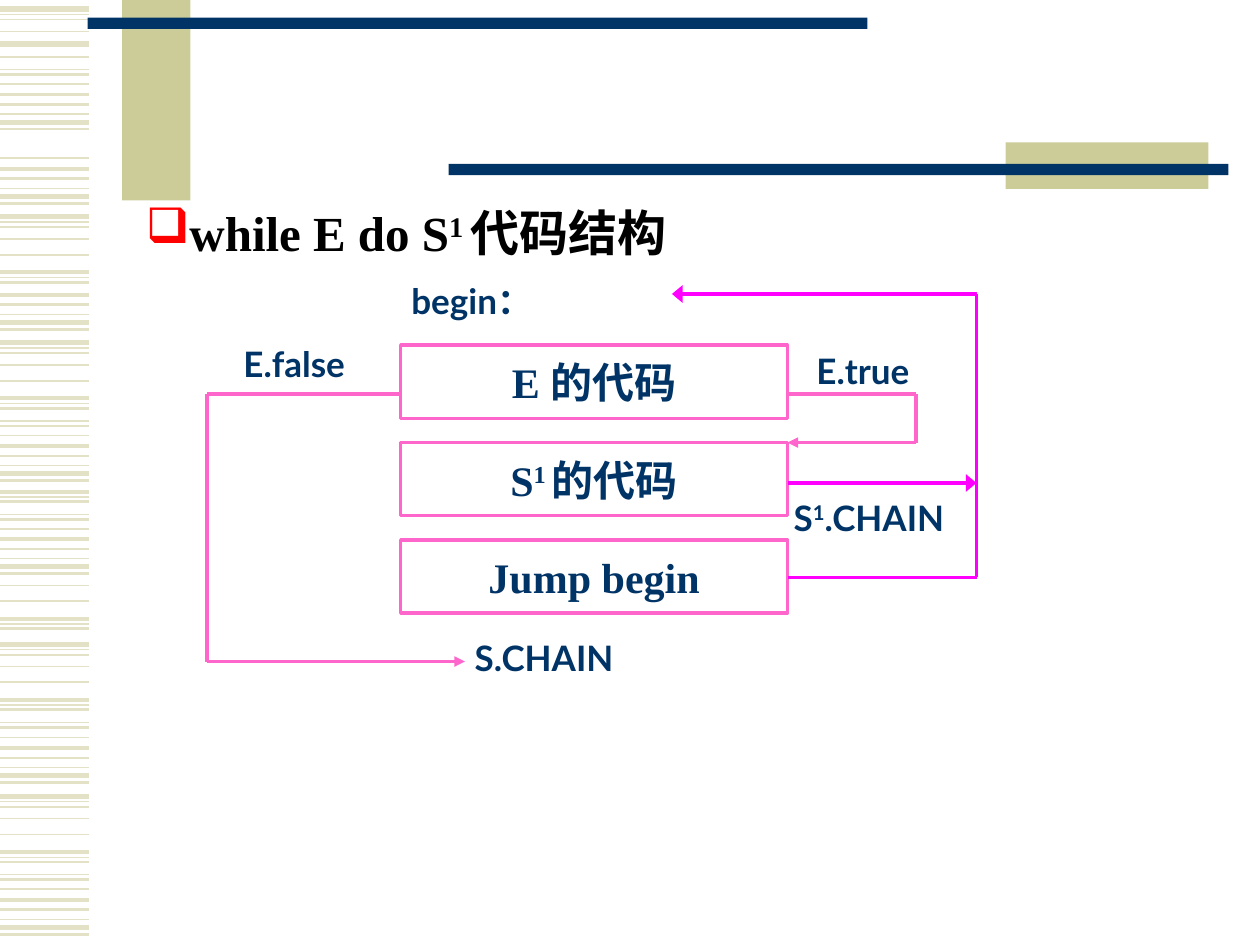
"""Build the slide on the code structure of a while loop."""
from lxml import etree
from pptx import Presentation
from pptx.dml.color import RGBColor
from pptx.enum.shapes import MSO_CONNECTOR, MSO_SHAPE
from pptx.enum.text import MSO_ANCHOR, PP_ALIGN
from pptx.oxml.ns import qn
from pptx.util import Pt

STRAIGHT = MSO_CONNECTOR.STRAIGHT
RECTANGLE = MSO_SHAPE.RECTANGLE
MIDDLE = MSO_ANCHOR.MIDDLE
LEFT, CENTER = PP_ALIGN.LEFT, PP_ALIGN.CENTER


class Theme:
    navy = RGBColor.from_string("003366")
    khaki = RGBColor.from_string("CCCC99")
    stripe = RGBColor.from_string("E3E2C7")
    pink = RGBColor.from_string("FF66CC")
    magenta = RGBColor.from_string("FF00FF")
    white = RGBColor.from_string("FFFFFF")
    black = RGBColor.from_string("000000")
    bullet = "FF0000"
    serif, sans = "Times New Roman", "Lato"
    heading, code, label = Pt(28), Pt(24), Pt(20)
    line = 2


def add_line(start, end, color, weight=Theme.line, head=None):
    line = page.shapes.add_connector(STRAIGHT, *map(Pt, start + end))
    line.line.color.rgb = color
    line.line.width = Pt(weight)
    etree.SubElement(line._element.spPr, qn("a:effectLst"))
    if head:
        etree.SubElement(line.line._get_or_add_ln(), qn("a:tailEnd"), type="triangle", w=head, len="med")


def write_text(box, text, size, font, color, align=LEFT, bullet=None):
    para = box.text_frame.paragraphs[0]
    if bullet:
        properties = para._p.get_or_add_pPr()
        properties.set("marL", "0")
        properties.set("indent", "0")
        tint = etree.SubElement(properties, qn("a:buClr"))
        etree.SubElement(tint, qn("a:srgbClr"), val=Theme.bullet)
        etree.SubElement(properties, qn("a:buChar"), char=bullet)
    para.alignment = align
    para.font.size = size
    para.font.name = font
    para.font.bold = True
    para.font.color.rgb = color
    for index, part in enumerate(text.split("^")):
        span = para.add_run()
        span.text = part
        if index % 2:
            span._r.get_or_add_rPr().set("baseline", "30000")


deck = Presentation()
deck.slide_width, deck.slide_height = Pt(720), Pt(540)
page = deck.slides.add_slide(deck.slide_layouts[6])

short_band = [(-21.8, 1), (-15.8, 2.25), (-10.2, 1.5), (-4.6, 0.75), (0, 3), (4, 1.5)]
long_band = [(0, 3), (3, 0.75), (6, 1), (12.8, 1), (21.8, 1), (31.8, 2.25),
             (34.8, 0.75), (37.5, 1.5), (44.7, 0.75), (47.6, 1.5)]
stripe_bands = [
    (529.9, short_band), (455, long_band), (443.3, short_band), (368.1, long_band),
    (321.8, long_band[3:8]), (323.9, short_band), (249.2, long_band[5:]),
    (270.7, short_band), (195.8, long_band), (184.2, short_band[1:]),
    (123.8, long_band[:8]), (112.2, short_band), (69.8, short_band),
    (-4.9, long_band[7:]), (5.2, long_band[:4]), (25.2, long_band[:1]),
]
for anchor, band in stripe_bands:
    for offset, weight in band:
        add_line((0, anchor + offset), (51.1, anchor + offset), Theme.stripe, weight)

bars = [
    (69.8, 0, 39, 114.5, Theme.khaki),
    (50, 10.1, 445.7, 6.5, Theme.navy),
    (574.6, 81.4, 116, 26.6, Theme.khaki),
    (256.3, 93.6, 445.7, 6.5, Theme.navy),
]
for left, top, width, height, color in bars:
    bar = page.shapes.add_shape(RECTANGLE, *map(Pt, (left, top, width, height)))
    bar.shadow.inherit = False
    bar.fill.solid()
    bar.fill.fore_color.rgb = color
    bar.line.fill.background()

heading = page.shapes.add_textbox(Pt(76.3), Pt(112.3), Pt(318.2), Pt(41))
heading.text_frame.word_wrap = False
write_text(heading, "while E do S^1 ^代码结构", Theme.heading, Theme.serif, Theme.black, bullet="❑")

box_left, box_right, box_top, box_step = 229, 450, 197.3, 55.6
for row, text in enumerate(["E 的代码", "S^1 ^的代码", "Jump begin"]):
    box = page.shapes.add_shape(
        RECTANGLE, Pt(box_left), Pt(box_top + row * box_step), Pt(box_right - box_left), Pt(41.8))
    box.shadow.inherit = False
    box.fill.solid()
    box.fill.fore_color.rgb = Theme.white
    box.line.color.rgb = Theme.pink
    box.line.width = Pt(Theme.line)
    box.text_frame.word_wrap = True
    box.text_frame.vertical_anchor = MIDDLE
    write_text(box, text, Theme.code, Theme.serif, Theme.navy, CENTER)

false_x, true_x, loop_x = 118.2, 523.4, 558
test_y, body_y, chain_y, jump_y, begin_y, exit_y = 225.2, 252.9, 276, 330, 168, 378
routes = [
    (Theme.pink, "med", [(box_left, test_y), (false_x, test_y), (false_x, exit_y), (265.7, exit_y)]),
    (Theme.pink, "med", [(box_right, test_y), (true_x, test_y), (true_x, body_y), (box_right, body_y)]),
    (Theme.magenta, "lg", [(box_right, chain_y), (loop_x, chain_y)]),
    (Theme.magenta, "lg", [(box_right, jump_y), (loop_x, jump_y), (loop_x, begin_y), (384, begin_y)]),
]
for color, head, points in routes:
    for start, end in zip(points, points[1:]):
        add_line(start, end, color, head=head if end == points[-1] else None)

labels = [
    ("E.true", 459.4, 196, 195),
    ("S.CHAIN", 264.2, 360, 194),
    ("E.false", 132, 192, 108),
    ("begin：", 228, 156, 96),
    ("S^1^.CHAIN", 446.4, 280, 110),
]
for text, left, top, width in labels:
    label = page.shapes.add_textbox(Pt(left), Pt(top), Pt(width), Pt(31.5))
    label.text_frame.word_wrap = True
    write_text(label, text, Theme.label, Theme.sans, Theme.navy)

deck.save("out.pptx")
